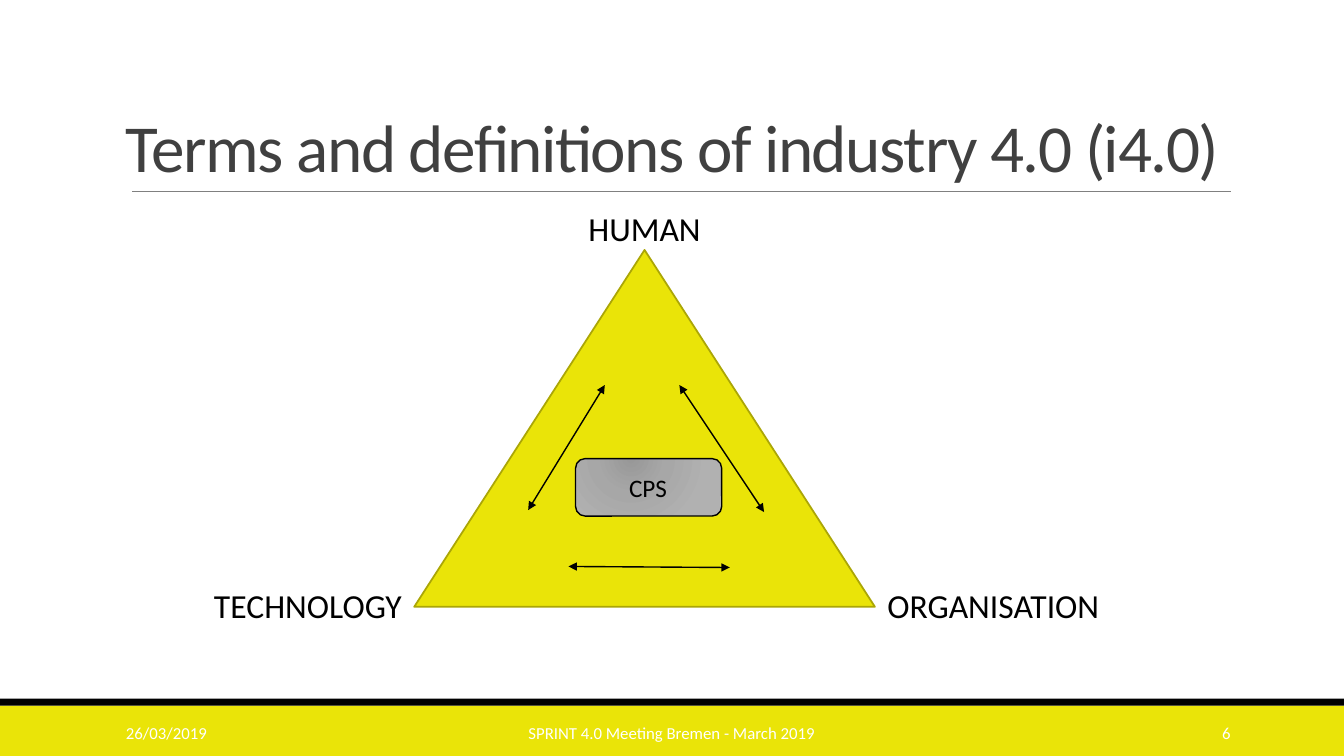
from lxml.etree import SubElement
from pptx import Presentation
from pptx.dml.color import RGBColor
from pptx.enum.shapes import MSO_CONNECTOR, MSO_SHAPE
from pptx.enum.text import MSO_ANCHOR as ANCHOR, MSO_AUTO_SIZE, PP_ALIGN as ALIGN
from pptx.oxml import parse_xml
from pptx.oxml.ns import nsdecls, qn
from pptx.util import Pt

YELLOW = RGBColor(0xEA, 0xE4, 0x08)
OLIVE = RGBColor(0xAB, 0xA6, 0x06)
BLACK = RGBColor(0, 0, 0)
WHITE = RGBColor(0xFF, 0xFF, 0xFF)
GREY = RGBColor(0x80, 0x80, 0x80)
DARK = RGBColor(0x40, 0x40, 0x40)
CPS_STOPS = ((0, RGBColor(0x98, 0x98, 0x98)), (45, RGBColor(0xA7, 0xA7, 0xA7)),
             (100, RGBColor(0xB1, 0xB1, 0xB1)))

FOOTER_TOP, FOOTER_HEIGHT = 512.64, 20.88
LABELS = (("HUMAN", 357.12, 144.72), ("ORGANISATION", 606.24, 414),
          ("TECHNOLOGY", 116.64, 414))
ARROWS = ((485.28, 275.04, 545.76, 365.76), (432, 275.04, 377.28, 364.32),
          (521.28, 405.36, 406.08, 404.64))


def write(s, text, size=24, color=BLACK, align=ALIGN.LEFT, anchor=ANCHOR.TOP,
          wrap=True, line_spacing=None, tracking=None):
    tf = s.text_frame
    tf.word_wrap = wrap
    tf.auto_size = MSO_AUTO_SIZE.NONE
    tf.vertical_anchor = anchor
    tf.margin_left = tf.margin_right = tf.margin_top = tf.margin_bottom = Pt(3.6)
    p = tf.paragraphs[0]
    p.alignment = align
    if line_spacing:
        p.line_spacing = line_spacing
    r = p.add_run()
    r.text = text
    r.font.name = "Calibri"
    r.font.size = Pt(size)
    r.font.color.rgb = color
    if tracking:
        r.font._element.set("spc", str(tracking * 100))


def add_text(shapes, text, x, y, w, h, **fmt):
    write(shapes.add_textbox(Pt(x), Pt(y), Pt(w), Pt(h)), text, **fmt)


def add_box(shapes, kind, x, y, w, h, fill=None, line=None, width=1):
    sp = shapes.add_shape(kind, Pt(x), Pt(y), Pt(w), Pt(h))
    sp.shadow.inherit = False
    if fill is not None:
        sp.fill.solid()
        sp.fill.fore_color.rgb = fill
    if line is None:
        sp.line.fill.background()
    else:
        sp.line.color.rgb = line
        sp.line.width = Pt(width)
    return sp


def add_line(shapes, x1, y1, x2, y2, color=BLACK, width=1, arrows=False):
    c = shapes.add_connector(MSO_CONNECTOR.STRAIGHT, Pt(x1), Pt(y1), Pt(x2), Pt(y2))
    c.line.color.rgb = color
    c.line.width = Pt(width)
    if arrows:
        for end in ("a:headEnd", "a:tailEnd"):
            SubElement(c.line._get_or_add_ln(), qn(end), type="triangle")
    SubElement(c._element.spPr, qn("a:effectLst"))


def fill_radial(sp, stops):
    sp.fill.gradient()
    spPr = sp._element.spPr
    gs = "".join(f'<a:gs pos="{pos * 1000}"><a:srgbClr val="{color}"/></a:gs>'
                 for pos, color in stops)
    spPr.replace(spPr.find(qn("a:gradFill")), parse_xml(
        f'<a:gradFill {nsdecls("a")} rotWithShape="1"><a:gsLst>{gs}</a:gsLst>'
        '<a:path path="circle"><a:fillToRect l="38000" t="-20000" r="62000" b="120000"/>'
        '</a:path></a:gradFill>'))


def add_footer(shapes):
    add_box(shapes, MSO_SHAPE.RECTANGLE, 0, 504, 960, 36, YELLOW)
    add_box(shapes, MSO_SHAPE.RECTANGLE, 0, 499, 960, 5, BLACK)
    for text, x, w, align, wrap in (
            ("SPRINT 4.0 Meeting Bremen - March 2019", 290.16, 379.44, ALIGN.CENTER, True),
            ("26/03/2019", 86.4, 194.4, ALIGN.LEFT, True),
            ("6", 868.32, 14.4, ALIGN.RIGHT, False)):
        add_text(shapes, text, x, FOOTER_TOP, w, FOOTER_HEIGHT, size=12, color=WHITE,
                 align=align, anchor=ANCHOR.MIDDLE, wrap=wrap)


def add_title(shapes, text):
    title = shapes.title
    title.left, title.top, title.width, title.height = Pt(86.4), Pt(22.32), Pt(792), Pt(114.48)
    write(title, text, size=48, color=DARK, anchor=ANCHOR.BOTTOM,
          line_spacing=0.85, tracking=-1)
    add_line(shapes, 94.32, 136.8, 879.12, 136.8, color=GREY, width=0.5)


def add_cps(shapes):
    group = shapes.add_group_shape().shapes
    box = add_box(group, MSO_SHAPE.ROUNDED_RECTANGLE, 411.12, 327.6, 104.4, 41.04, line=BLACK)
    fill_radial(box, CPS_STOPS)
    add_text(group, "CPS", 412.56, 334.08, 100.8, 28.08, size=18,
             align=ALIGN.CENTER, anchor=ANCHOR.MIDDLE)


def main():
    prs = Presentation()
    prs.slide_width, prs.slide_height = Pt(960), Pt(540)
    shapes = prs.slides.add_slide(prs.slide_layouts[5]).shapes
    add_footer(shapes)
    add_title(shapes, "Terms and definitions of industry 4.0 (i4.0)")
    add_box(shapes, MSO_SHAPE.ISOSCELES_TRIANGLE, 295.92, 178.56, 329.04, 254.88,
            YELLOW, OLIVE, 1.25)
    for text, x, y in LABELS:
        add_text(shapes, text, x, y, 206.64, 35.28, align=ALIGN.CENTER)
    for ends in ARROWS:
        add_line(shapes, *ends, arrows=True)
    add_cps(shapes)
    prs.save("out.pptx")


if __name__ == "__main__":
    main()
